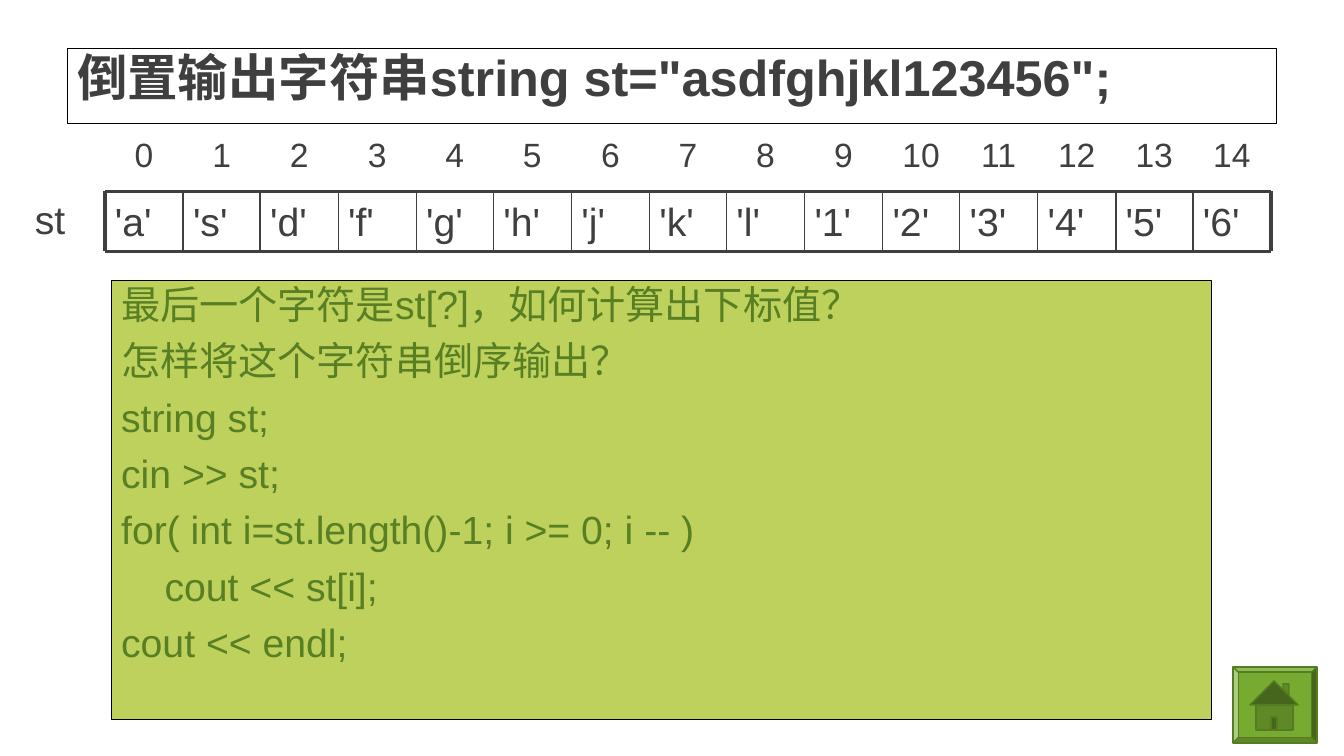
from lxml import etree
from pptx import Presentation
from pptx.dml.color import RGBColor
from pptx.enum.shapes import MSO_CONNECTOR, MSO_SHAPE
from pptx.enum.text import MSO_ANCHOR, MSO_AUTO_SIZE, PP_ALIGN
from pptx.oxml.ns import qn
from pptx.util import Pt

PX = 9080  # EMU per px
LEFT, CENTER = PP_ALIGN.LEFT, PP_ALIGN.CENTER
TOP, MIDDLE = MSO_ANCHOR.TOP, MSO_ANCHOR.MIDDLE
NO_FIT = MSO_AUTO_SIZE.NONE
STRAIGHT = MSO_CONNECTOR.STRAIGHT
RECT, BEVEL = MSO_SHAPE.RECTANGLE, MSO_SHAPE.BEVEL

INK, GREEN, LIME = "3F3F3F", "597F24", "BED15D"
BUTTON, EDGE, ROOF, WALL = "76AA30", "557C20", "47661D", "5F8826"

TITLE = '倒置输出字符串string st="asdfghjkl123456";'
CODE = [
    "最后一个字符是st[?]，如何计算出下标值？",
    "怎样将这个字符串倒序输出？",
    "string st;",
    "cin >> st;",
    "for( int i=st.length()-1; i >= 0; i -- )",
    "    cout << st[i];",
    "cout << endl;",
]
CHARS = "asdfghjkl123456"
GRID_X, GRID_W, GRID_TOP, GRID_END = 105, 1165, 191, 251
EDGES = [GRID_X + round(GRID_W * i / len(CHARS)) for i in range(len(CHARS) + 1)]


def px(*sizes):
    return [size * PX for size in sizes]


def rgb(code):
    return RGBColor.from_string(code)


def write(frame, lines, size=28, color=INK, bold=False, align=LEFT,
          space=None, gap=0, plain=False):
    """Fill a text frame; plain removes the bullet and indent of a list."""
    for i, line in enumerate(lines):
        para = frame.paragraphs[0] if i == 0 else frame.add_paragraph()
        if plain:
            props = para._p.get_or_add_pPr()
            props.set("marL", "0")
            props.set("indent", "0")
            etree.SubElement(props, qn("a:buNone"))
        para.alignment = align
        para.space_before = Pt(gap if i else 0)
        if space:
            para.line_spacing = space
        run = para.add_run()
        run.text = line
        run.font.name = "Arial"
        run.font.size = Pt(size)
        run.font.bold = bold
        run.font.color.rgb = rgb(color)


class Deck:
    def __init__(self, wide, high):
        self.show = Presentation()
        self.show.slide_width, self.show.slide_height = px(wide, high)
        self.slide = self.show.slides.add_slide(self.show.slide_layouts[1])
        self.shapes = self.slide.shapes

    def paint(self, shape, fill, line, width):
        shape.fill.solid()
        shape.fill.fore_color.rgb = rgb(fill)
        shape.line.color.rgb = rgb(line)
        shape.line.width = Pt(width)

    def holder(self, index, box, lines, fill, **style):
        """Move, frame and fill a placeholder."""
        shape = self.slide.placeholders[index]
        shape.left, shape.top, shape.width, shape.height = px(*box)
        self.paint(shape, fill, "000000", 0.75)
        frame = shape.text_frame
        frame.auto_size = NO_FIT
        frame.vertical_anchor = TOP
        write(frame, lines, space=0.9, **style)

    def label(self, box, text, **style):
        frame = self.shapes.add_textbox(*px(*box)).text_frame
        frame.word_wrap = True
        frame.vertical_anchor = MIDDLE
        write(frame, [text], **style)

    def line(self, x1, y1, x2, y2, width):
        line = self.shapes.add_connector(STRAIGHT, *px(x1, y1, x2, y2))
        line.line.color.rgb = rgb(INK)
        line.line.width = Pt(width)
        etree.SubElement(line._element.spPr, qn("a:effectLst"))

    def table(self, top, high, edges, texts):
        box = px(edges[0], top, edges[-1] - edges[0], high)
        table = self.shapes.add_table(1, len(texts), *box).table
        table.first_row = table.horz_banding = False
        for i, text in enumerate(texts):
            table.columns[i].width = (edges[i + 1] - edges[i]) * PX
            cell = table.cell(0, i)
            cell.fill.background()
            cell.margin_left = cell.margin_right = 13 * PX
            cell.margin_top = cell.margin_bottom = 5 * PX
            write(cell.text_frame, [text], size=24, align=CENTER)

    def block(self, kind, box, fill):
        shape = self.shapes.add_shape(kind, *px(*box))
        shape.shadow.inherit = False
        self.paint(shape, fill, EDGE, 1)
        return shape

    def outline(self, points, fill):
        path = self.shapes.build_freeform(*points[0], scale=PX)
        path.add_line_segments(points[1:])
        shape = path.convert_to_shape()
        shape.shadow.inherit = False
        self.paint(shape, fill, EDGE, 1)


def main():
    deck = Deck(1343, 755)
    deck.holder(0, (67, 48, 1209, 75), [TITLE], "FFFFFF", size=36, bold=True)
    deck.holder(1, (111, 280, 1100, 439), CODE, LIME, color=GREEN, gap=10,
                plain=True)

    deck.label((15, 190, 70, 57), "st", align=CENTER)
    for char, left, right in zip(CHARS, EDGES, EDGES[1:]):
        deck.label((left, GRID_TOP, right - left, 60), f"'{char}'")
    for x in EDGES:
        width = 2.25 if x in (EDGES[0], EDGES[-1]) else 1
        deck.line(x, GRID_TOP, x, GRID_END, width)
    for y in (GRID_TOP, GRID_END):
        deck.line(EDGES[0], y, EDGES[-1], y, 2.25)
    deck.table(132, 50, EDGES, [str(i) for i in range(len(CHARS))])

    home = deck.block(BEVEL, (1232, 666, 84, 76), BUTTON)
    home.adjustments[0] = 0.07
    deck.outline([(1282, 689), (1282, 683), (1288, 683), (1288, 695)], WALL)
    deck.block(RECT, (1255, 704, 37, 25), WALL)
    deck.outline([(1273, 680), (1297, 704), (1249, 704)], ROOF)
    deck.block(RECT, (1270, 716, 6, 13), ROOF)

    deck.show.save("out.pptx")


if __name__ == "__main__":
    main()
